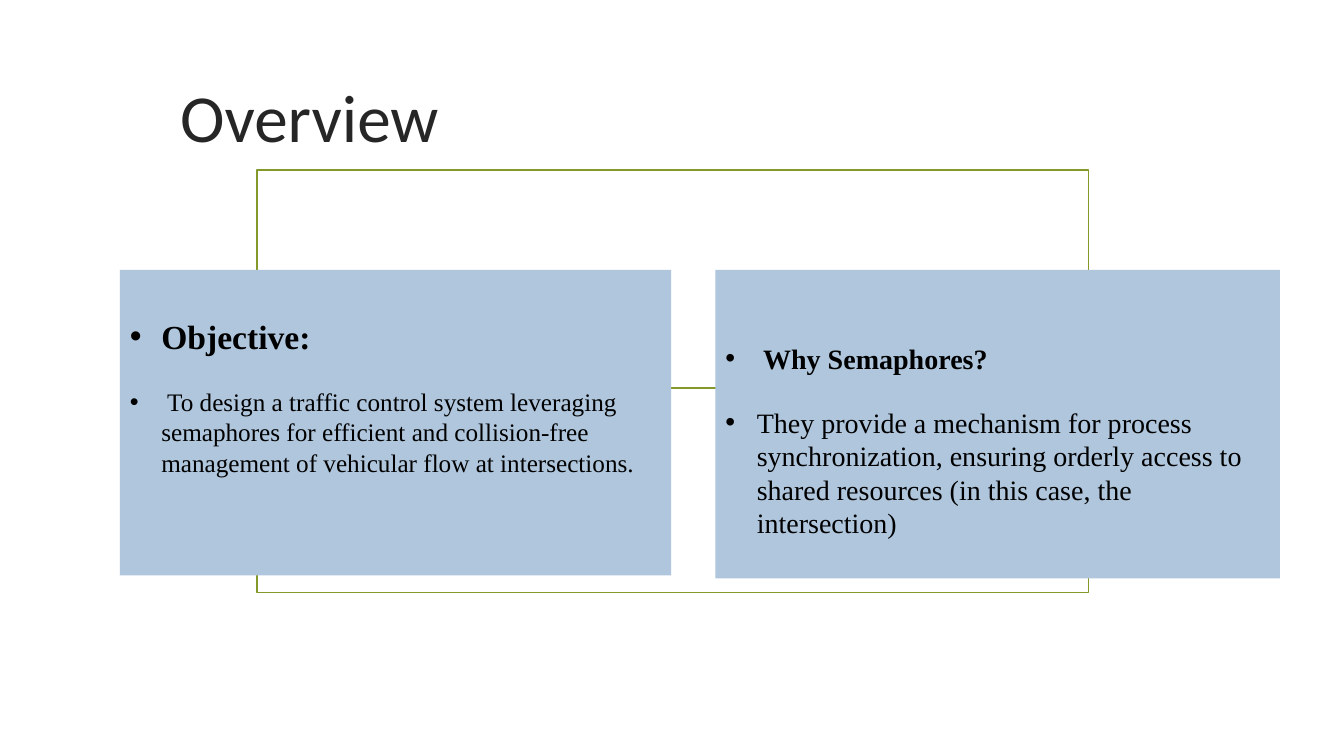
from lxml import etree
from pptx import Presentation
from pptx.dml.color import RGBColor
from pptx.enum.shapes import MSO_CONNECTOR, MSO_SHAPE
from pptx.enum.text import MSO_ANCHOR, PP_ALIGN
from pptx.oxml.ns import qn
from pptx.util import Pt

RECT = MSO_SHAPE.RECTANGLE
STRAIGHT = MSO_CONNECTOR.STRAIGHT
TOP, BOTTOM = MSO_ANCHOR.TOP, MSO_ANCHOR.BOTTOM
LEFT, CENTER = PP_ALIGN.LEFT, PP_ALIGN.CENTER
OLIVE = RGBColor(0x83, 0x99, 0x2A)
BLUE = RGBColor(0xAF, 0xC6, 0xDD)
BLACK = RGBColor(0, 0, 0)
GRAY = RGBColor(0x26, 0x26, 0x26)


def write(par, text, size, font="Times New Roman", color=BLACK, bold=False,
          align=LEFT, before=0, indent=0):
    par.alignment = align
    par.space_before = Pt(before)
    run = par.add_run()
    run.text = text
    run.font.size = Pt(size)
    run.font.name = font
    run.font.bold = bold
    run.font.color.rgb = color
    if indent:
        props = par._p.get_or_add_pPr()
        props.set("marL", str(Pt(indent)))
        props.set("indent", str(-Pt(indent)))
        etree.SubElement(props, qn("a:buFont")).set("typeface", "Arial")
        etree.SubElement(props, qn("a:buChar")).set("char", "•")


deck = Presentation()
deck.slide_width, deck.slide_height = Pt(960), Pt(540)
slide = deck.slides.add_slide(deck.slide_layouts[5])
shapes = slide.shapes

# Title
title = shapes.title
title.left, title.top, title.width, title.height = Pt(94.3), Pt(27.4), Pt(253.4), Pt(87.8)
title.text_frame.vertical_anchor = BOTTOM
write(title.text_frame.paragraphs[0], "Overview", 48, font="Calibri",
      color=GRAY, align=CENTER)

# Olive frame and rule
frame = shapes.add_shape(RECT, Pt(183.6), Pt(121.5), Pt(594), Pt(301.7))
frame.shadow.inherit = False
frame.fill.background()
rule = shapes.add_connector(STRAIGHT, Pt(211.7), Pt(277.2), Pt(748.8), Pt(277.2))
etree.SubElement(rule._element.spPr, qn("a:effectLst"))
for edge in (frame, rule):
    edge.line.color.rgb = OLIVE
    edge.line.width = Pt(1.25)

# Blue panels: left, width, height, top inset, then (text, size, bold, indent)
panels = [
    (85.7, 393.8, 218.2, 33, [
        ("Objective:", 24, True, 22.5),
        (" To design a traffic control system leveraging semaphores for efficient "
         "and collision-free management of vehicular flow at intersections.",
         18, False, 22.5)]),
    (511, 403.2, 220.3, 51, [
        ("Why Semaphores?", 20, True, 27),
        ("They provide a mechanism for process synchronization, ensuring orderly "
         "access to shared resources (in this case, the intersection)",
         20, False, 22.5)]),
]
for left, width, height, inset, items in panels:
    panel = shapes.add_shape(RECT, Pt(left), Pt(192.8), Pt(width), Pt(height))
    panel.shadow.inherit = False
    panel.fill.solid()
    panel.fill.fore_color.rgb = BLUE
    panel.line.fill.background()
    body = panel.text_frame
    body.word_wrap = True
    body.vertical_anchor = TOP
    body.margin_top = Pt(inset)
    for i, (text, size, bold, indent) in enumerate(items):
        par = body.add_paragraph() if i else body.paragraphs[0]
        write(par, text, size, bold=bold, before=21.5 * i, indent=indent)

deck.save("out.pptx")
